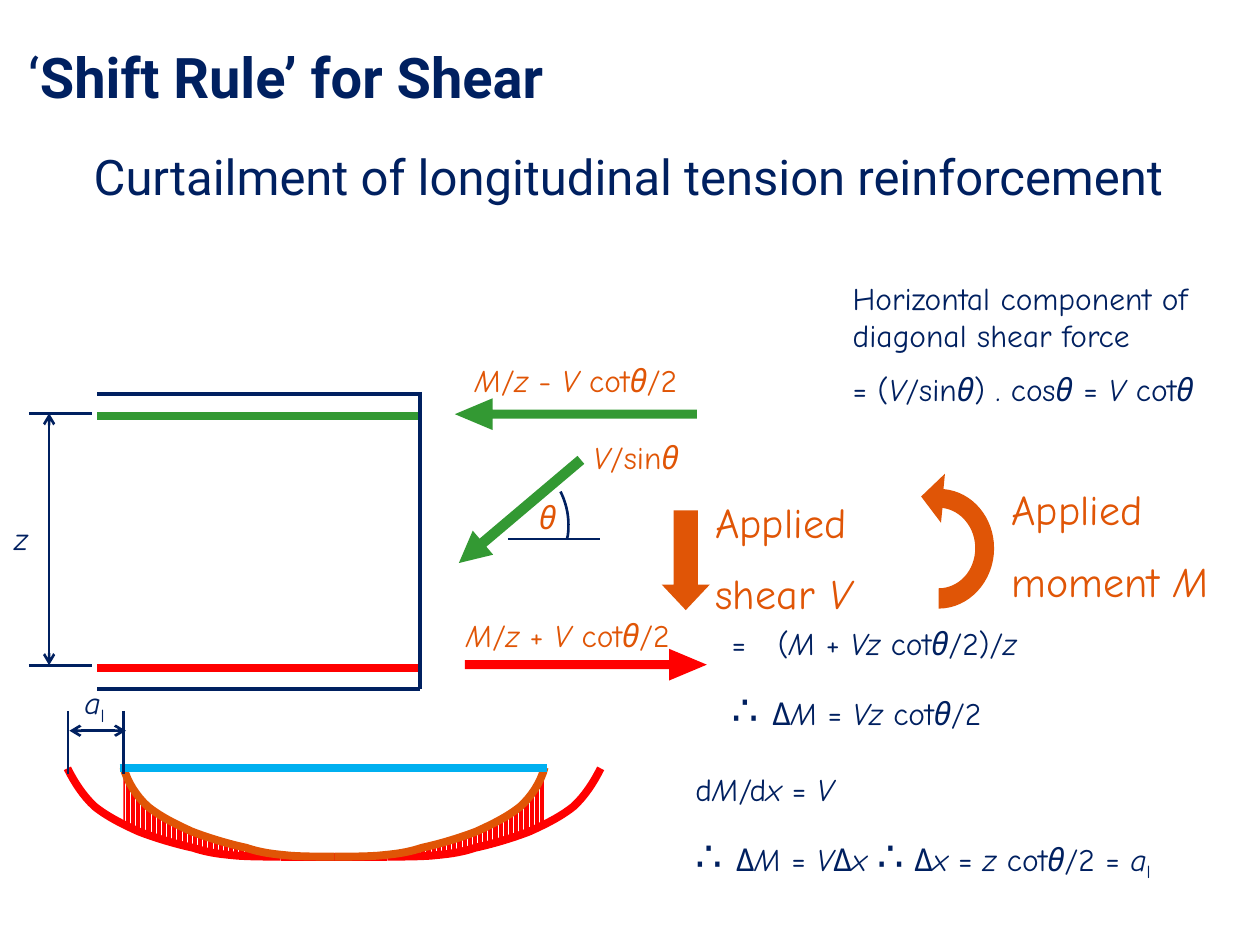
"""Build the slide on the shift rule for shear."""
from copy import deepcopy
from lxml import etree
from pptx import Presentation
from pptx.dml.color import RGBColor
from pptx.enum.dml import MSO_PATTERN
from pptx.enum.shapes import MSO_CONNECTOR, MSO_SHAPE
from pptx.enum.text import MSO_ANCHOR, PP_ALIGN
from pptx.oxml.ns import qn
from pptx.util import Cm, Pt

STRAIGHT = MSO_CONNECTOR.STRAIGHT
DOWN_ARROW = MSO_SHAPE.DOWN_ARROW
LEFT_ARROW = MSO_SHAPE.LEFT_ARROW
RIGHT_ARROW = MSO_SHAPE.RIGHT_ARROW
DARK_VERTICAL = MSO_PATTERN.DARK_VERTICAL
TOP, MIDDLE = MSO_ANCHOR.TOP, MSO_ANCHOR.MIDDLE
LEFT, CENTER = PP_ALIGN.LEFT, PP_ALIGN.CENTER

NAVY = RGBColor(0x00, 0x20, 0x60)
ORANGE = RGBColor(0xE0, 0x55, 0x06)
GREEN = RGBColor(0x33, 0x99, 0x33)
RED = RGBColor(0xFF, 0x00, 0x00)
BLUE = RGBColor(0x00, 0xB0, 0xF0)
WHITE = RGBColor(0xFF, 0xFF, 0xFF)

HAND, SANS = "Comic Neue", "Roboto"
RUN_MARKS = {"*": {"italic": True}, "^": {"bold": True}, "~": {}, "∴": {"size": Pt(24)}}
BEAM_LEFT, BEAM_RIGHT = 1.96, 8.46
MIRROR_SUM = 13.47
SHIFT = 1.07
SHIFTED_HALF = [
    (1.36, 15.49), (1.5, 15.77), (1.68, 16.05), (1.91, 16.26),
    (2.16, 16.46), (2.46, 16.61), (2.79, 16.76),
    (3.12, 16.89), (3.56, 17.02), (3.89, 17.09),
    (4.22, 17.2), (4.47, 17.22), (4.78, 17.25),
    (5.05, 17.27), (5.49, 17.27), (5.66, 17.27)]
MOMENT_HALF = [(2.49, 15.47)] + [(x + SHIFT, y) for x, y in SHIFTED_HALF[1:]]
HATCH_HALF = [(2.46, 15.49), (2.49, 15.57), (2.49, 15.52), (2.49, 15.65),
              (2.49, 16.59), (3.68, 17.09), (5.54, 17.3), (3.23, 16.48),
              (2.67, 15.95), (2.46, 15.49)]
ANGLE_SECTOR = [(11.3, 9.91), (11.4, 10.11), (11.46, 10.34), (11.46, 10.57),
                (11.46, 10.67), (11.46, 10.77), (11.43, 10.87), (8.51, 10.57)]
MOMENT_ARROW = [(19, 10.24), (19.38, 10.29), (19.66, 10.64), (19.66, 11.05),
                (19.66, 11.51), (19.33, 11.86), (18.92, 11.86),
                (18.92, 12.27), (19.53, 12.27), (20.04, 11.73), (20.04, 11.05),
                (20.04, 10.44), (19.61, 9.91), (19.02, 9.86),
                (19.05, 9.55), (18.57, 10.01), (18.97, 10.54), (19, 10.24)]


def set_values(target, values):
    """Set each named attribute of the target."""
    for name, value in values.items():
        setattr(target, name, value)


def add_run(paragraph, piece, values, color):
    """Add one run, styled by its leading mark."""
    mark = piece[0]
    run = paragraph.add_run()
    run.text = piece[1:] if mark in "*^~" else piece
    set_values(run.font, {**values, **RUN_MARKS.get(mark, {})})
    run.font.color.rgb = color
    if mark == "~":
        run.font._element.set("baseline", "-25000")


def add_text(slide, box, lines, color=NAVY, size=18, font=HAND, anchor=TOP,
             align=LEFT, wrap=True, tab=None):
    """Add a text box whose lines hold runs parted by bars."""
    text_frame = slide.shapes.add_textbox(*map(Cm, box)).text_frame
    set_values(text_frame, {"word_wrap": wrap, "vertical_anchor": anchor})
    for index, line in enumerate(lines):
        paragraph = text_frame.add_paragraph() if index else text_frame.paragraphs[0]
        paragraph.alignment = align
        properties = paragraph._p.get_or_add_pPr()
        spacing = etree.SubElement(properties, qn("a:spcBef"))
        etree.SubElement(spacing, qn("a:spcPct"), val="50000")
        if tab and not index:
            tabs = etree.SubElement(properties, qn("a:tabLst"))
            etree.SubElement(tabs, qn("a:tab"), pos=str(Cm(tab)), algn="l")
        for piece in line.split("|"):
            add_run(paragraph, piece, {"name": font, "size": Pt(size)}, color)


def add_line(slide, start, end, color=NAVY, width=1.5, head=None, tail=None):
    """Add a straight line with optional arrowheads."""
    connector = slide.shapes.add_connector(STRAIGHT, *map(Cm, start + end))
    connector.line.color.rgb = color
    connector.line.width = Pt(width)
    for tag, kind in (("a:headEnd", head), ("a:tailEnd", tail)):
        if kind:
            etree.SubElement(connector.line._ln, qn(tag), type=kind)
    etree.SubElement(connector._element.spPr, qn("a:effectLst"))


def add_block_arrow(slide, kind, box, adjustments, color):
    """Add a filled block arrow without outline."""
    arrow = slide.shapes.add_shape(kind, *map(Cm, box))
    for index, value in enumerate(adjustments):
        arrow.adjustments[index] = value
    arrow.shadow.inherit = False
    arrow.fill.solid()
    arrow.fill.fore_color.rgb = color
    arrow.line.fill.background()


def mirror(points):
    """Reflect points about the middle of the span."""
    return [(MIRROR_SUM - x, y) for x, y in points]


def add_outline(slide, points, kinds, closed):
    """Add a freeform of cubic (C) and straight (L) segments."""
    points = [(Cm(x), Cm(y)) for x, y in points]
    builder = slide.shapes.build_freeform(*points[0])
    builder.add_line_segments(points[1:], close=closed)
    shape = builder.convert_to_shape()
    shape.shadow.inherit = False
    outline = next(shape._element.iter(qn("a:path")))
    segments = iter(outline.findall(qn("a:lnTo")))
    for kind in kinds:
        segment = next(segments)
        if kind == "C":
            cubic = etree.Element(qn("a:cubicBezTo"))
            outline.replace(segment, cubic)
            cubic.append(segment[0])
            for follower in (next(segments), next(segments)):
                cubic.append(follower[0])
                outline.remove(follower)
    return shape, outline


def add_curve(slide, points, color, width, kinds="CCCCC", closed=False):
    """Add a curved line and return its outline."""
    shape, outline = add_outline(slide, points, kinds, closed)
    shape.fill.background()
    shape.line.color.rgb = color
    shape.line.width = Pt(width)
    return outline


def add_angle(slide):
    """Add the angle arc with an unstroked sector."""
    arc = add_curve(slide, ANGLE_SECTOR, NAVY, 1.5, "CCL", True)
    sector = deepcopy(arc)
    sector.set("stroke", "0")
    arc.addnext(sector)
    for part in arc[-2:]:
        arc.remove(part)


def add_area(slide, points, kinds, color, pattern=None):
    """Add a closed area, solid or patterned."""
    shape, _ = add_outline(slide, points, kinds, True)
    if pattern:
        shape.fill.patterned()
        shape.fill.pattern = pattern
        shape.fill.back_color.rgb = WHITE
    else:
        shape.fill.solid()
    shape.fill.fore_color.rgb = color
    shape.line.fill.background()


def add_beam(slide):
    """Draw the beam end with its bars and lever arm."""
    for y in (8.33, 13.41):
        add_line(slide, (0.58, y), (1.85, y))
    add_line(slide, (0.99, 8.33), (0.99, 13.41), head="arrow", tail="arrow")
    add_text(slide, (0, 10.34, 0.86, 1.02), ["*z"], anchor=MIDDLE, align=CENTER, wrap=False)
    for y, color, width in ((7.95, NAVY, 2.25), (13.89, NAVY, 2.25),
                            (13.46, RED, 4.5), (8.38, GREEN, 4.5)):
        add_line(slide, (BEAM_LEFT, y), (BEAM_RIGHT, y), color, width)
    add_line(slide, (BEAM_RIGHT, 7.9), (BEAM_RIGHT, 13.89), width=2.25)


def add_forces(slide):
    """Draw the internal forces and applied actions."""
    add_text(slide, (11.71, 8.71, 3.61, 1.02), ["*V|/sin|*θ"], ORANGE)
    add_angle(slide)
    add_line(slide, (10.24, 10.87), (12.09, 10.87))
    add_text(slide, (10.62, 9.91, 0.84, 1.02), ["*θ"], ORANGE)
    add_line(slide, (11.71, 9.27), (9.25, 11.35), GREEN, 6, tail="triangle")
    for sign, text_box, kind, box, color in (
            ("-", (9.32, 7.16, 5.26, 1.02), LEFT_ARROW, (9.17, 8.03, 4.88, 0.64), GREEN),
            ("+", (9.14, 12.29, 5.26, 1.02), RIGHT_ARROW, (9.37, 13.08, 4.88, 0.64), RED)):
        add_text(slide, text_box, [f"*M|/|*z| {sign} |*V| cot|*θ|/2"], ORANGE)
        add_block_arrow(slide, kind, box, (0.28, 1.19), color)
    add_block_arrow(slide, DOWN_ARROW, (13.34, 10.29, 0.97, 2.01), (0.5, 0.53), ORANGE)
    add_area(slide, MOMENT_ARROW, "CCLCCLLLL", ORANGE)
    for box, line in (((14.17, 9.88, 4.37, 2.79), "shear |*V"),
                      ((20.14, 9.63, 4.65, 2.79), "moment |*M")):
        add_text(slide, box, ["Applied", line], ORANGE, 24)


def add_moment_diagram(slide):
    """Draw the moment curve and its shifted envelope."""
    for points in (HATCH_HALF, mirror(HATCH_HALF)):
        add_area(slide, points, "CLLLLLL", RED, DARK_VERTICAL)
    add_line(slide, (5.66, 17.27), (7.8, 17.27), RED, 4.5)
    for half, color in ((SHIFTED_HALF, RED), (MOMENT_HALF, ORANGE)):
        for points in (half, mirror(half)):
            add_curve(slide, points, color, 4.5)
    add_line(slide, (2.41, 15.49), (11.02, 15.49), BLUE, 4.5)
    for x in (1.37, 2.49):
        add_line(slide, (x, 14.33), (x, 15.6))
    add_line(slide, (2.54, 14.73), (1.4, 14.73), head="arrow", tail="arrow")
    add_text(slide, (1.42, 13.69, 0.97, 1.02), ["*a|~l"], anchor=MIDDLE, align=CENTER, wrap=False)


def add_equations(slide):
    """Write the derivation beside the drawing."""
    for box, lines, tab in (
            ((16.94, 5.46, 8.46, 2.92),
             ["Horizontal component of diagonal shear force",
              "= (|*V|/sin|*θ|) . cos|*θ| = |*V| cot|*θ"], None),
            ((14.5, 12.42, 7.59, 2.54),
             ["=\t(|*M| + |*Vz| cot|*θ|/2)/|*z",
              "∴ |Δ|*M| = |*Vz| cot|*θ|/2"], 0.93),
            ((13.77, 15.39, 11.63, 2.54),
             ["d|*M|/d|*x| = |*V",
              "∴ |Δ|*M| = |*V|Δ|*x |∴| Δ|*x| = |*z| cot|*θ|/2 = |*a|~l"], None)):
        add_text(slide, box, lines, anchor=MIDDLE, tab=tab)


def main():
    """Build and save the presentation."""
    presentation = Presentation()
    set_values(presentation, {"slide_width": Cm(25.4), "slide_height": Cm(19.05)})
    slide = presentation.slides.add_slide(presentation.slide_layouts[6])
    for add_part in (add_beam, add_forces, add_moment_diagram, add_equations):
        add_part(slide)
    add_text(slide, (1.22, 2.82, 22.89, 1.45),
             ["Curtailment of longitudinal tension reinforcement"],
             size=28, font=SANS, align=CENTER, wrap=False)
    add_text(slide, (0.33, 0.74, 17.63, 2.08), ["‘|^Shift Rule’ for Shear"],
             size=32, font=SANS)
    presentation.save("out.pptx")


if __name__ == "__main__":
    main()
